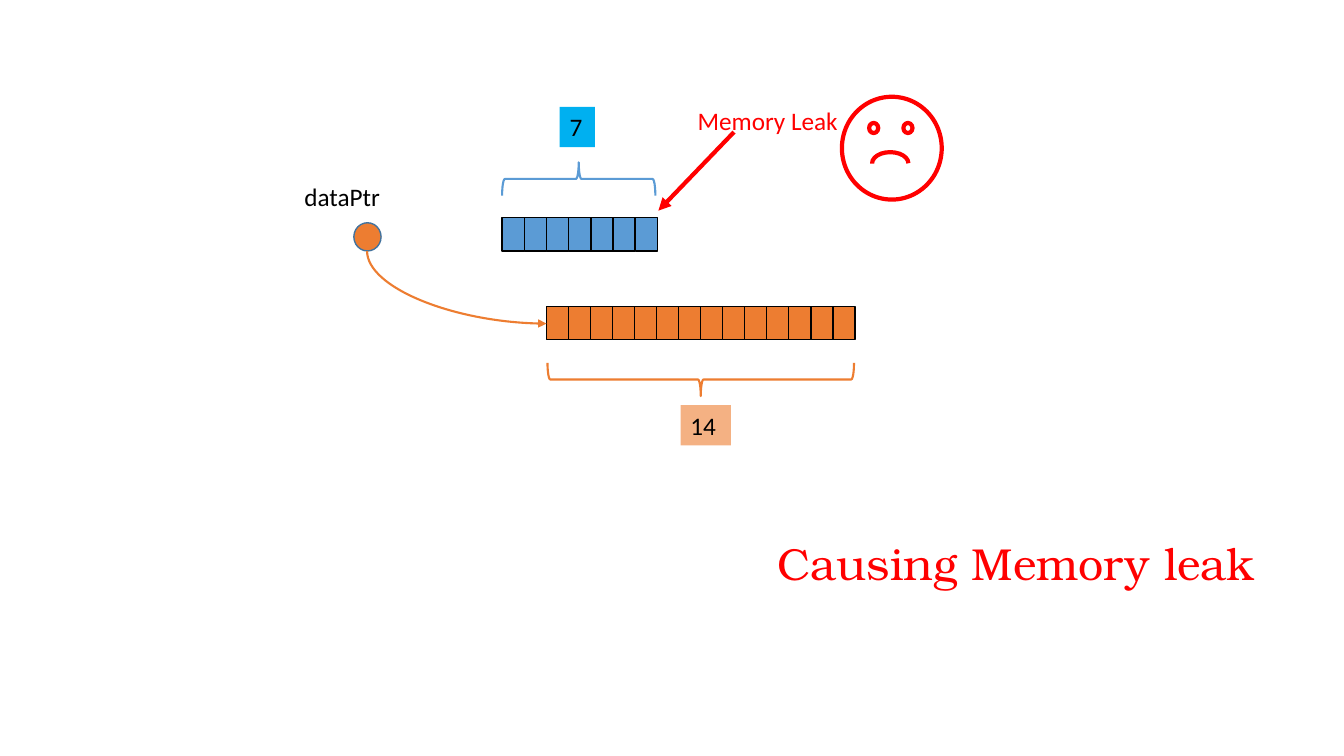
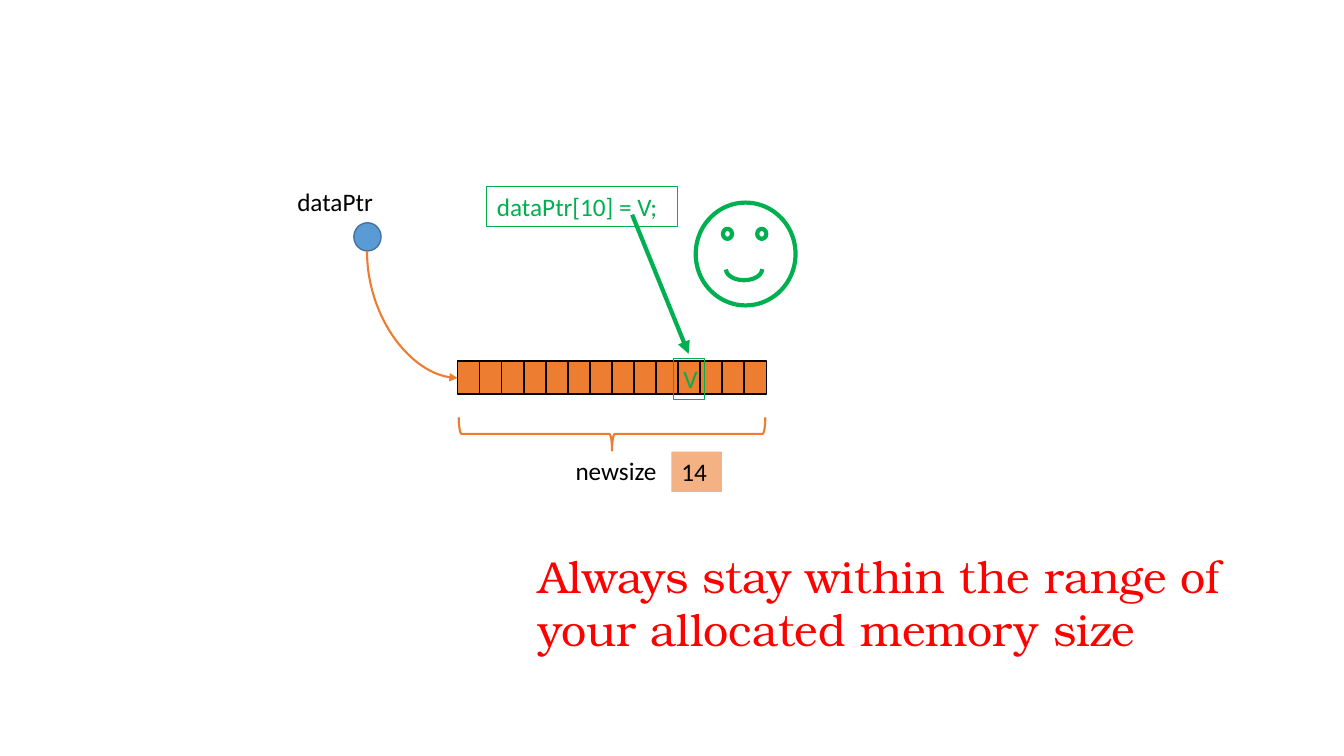
import pptx
import pptx.dml.color
import pptx.enum.shapes
import pptx.enum.text
import pptx.oxml.ns
import pptx.util
from lxml import etree

SHAPE = pptx.enum.shapes.MSO_SHAPE
CONNECTOR = pptx.enum.shapes.MSO_CONNECTOR
AUTO_SIZE = pptx.enum.text.MSO_AUTO_SIZE
qn = pptx.oxml.ns.qn


def px(n):
    return pptx.util.Emu(round(n * 9144))


def rgb(value):
    return pptx.dml.color.RGBColor.from_string(value)


def write(tf, text, size=18, color="000000", font="Calibri", wrap=True, fit=AUTO_SIZE.SHAPE_TO_FIT_TEXT):
    tf.word_wrap = wrap
    tf.auto_size = fit
    tf.vertical_anchor = pptx.enum.text.MSO_ANCHOR.TOP
    p = tf.paragraphs[0]
    p.alignment = pptx.enum.text.PP_ALIGN.LEFT
    r = p.add_run()
    r.text = text
    r.font.size = pptx.util.Pt(size)
    r.font.name = font
    r.font.color.rgb = rgb(color)


class Deck:
    BLUE = "5B9BD5"
    ORANGE = "ED7D31"
    PEACH = "F4B183"
    CYAN = "00B0F0"
    RED = "FF0000"
    GREEN = "00B050"
    WHITE = "FFFFFF"
    BLACK = "000000"
    NODE_EDGE = "43739E"
    TITLE_FONT = "TeX Gyre Bonum"
    CELL_W, CELL_H = 22, 33

    def __init__(self):
        self.prs = pptx.Presentation()
        self.prs.slide_width = px(1333)
        self.prs.slide_height = px(750)

    def slide(self, title, x, y, w, h):
        self.s = self.prs.slides.add_slide(self.prs.slide_layouts[5])
        sp = self.s.shapes.title
        sp.left, sp.top, sp.width, sp.height = px(x), px(y), px(w), px(h)
        write(sp.text_frame, title, size=32, color=self.RED, font=self.TITLE_FONT, fit=AUTO_SIZE.NONE)

    def paint(self, sp, fill, line, width):
        if fill:
            sp.fill.solid()
            sp.fill.fore_color.rgb = rgb(fill)
        else:
            sp.fill.background()
        if line:
            sp.line.color.rgb = rgb(line)
            sp.line.width = pptx.util.Pt(width)
        else:
            sp.line.fill.background()

    def shape(self, kind, x, y, w, h, fill=None, line=None, width=1):
        sp = self.s.shapes.add_shape(kind, px(x), px(y), px(w), px(h))
        sp.shadow.inherit = False
        self.paint(sp, fill, line, width)
        return sp

    def label(self, text, x, y, w, h=40, fill=None, line=None, **fmt):
        sp = self.s.shapes.add_textbox(px(x), px(y), px(w), px(h))
        self.paint(sp, fill, line, 0.75)
        write(sp.text_frame, text, **fmt)

    def node(self, fill):
        self.shape(SHAPE.OVAL, 351, 221, 27, 28, fill, self.NODE_EDGE)

    def cells(self, x, y, count, span, fill):
        pitch = (span - self.CELL_W) / (count - 1)
        for i in range(count):
            self.shape(SHAPE.RECTANGLE, x + i * pitch, y, self.CELL_W, self.CELL_H, fill, self.BLACK)

    def brace(self, x, y, span, color, rotation):
        depth = 33
        shift = (span - depth) / 2
        sp = self.shape(SHAPE.RIGHT_BRACE, x + shift, y - shift, depth, span, line=color, width=1.5)
        sp.rotation = rotation

    def arrow(self, x1, y1, x2, y2, color, width=3, kind=CONNECTOR.STRAIGHT):
        cxn = self.s.shapes.add_connector(kind, px(x1), px(y1), px(x2), px(y2))
        cxn.line.color.rgb = rgb(color)
        cxn.line.width = pptx.util.Pt(width)
        spPr = cxn._element.spPr
        etree.SubElement(spPr.find(qn("a:ln")), qn("a:tailEnd")).set("type", "triangle")
        etree.SubElement(spPr, qn("a:effectLst"))
        return spPr

    def pointer(self, x1, y1, x2, y2):
        cx, cy = (x1 + x2) / 2, (y1 + y2) / 2
        dx, dy = (x2 - x1) / 2, (y2 - y1) / 2
        spPr = self.arrow(cx + dy, cy - dx, cx - dy, cy + dx, self.ORANGE, 1.5, CONNECTOR.CURVE)
        spPr.find(qn("a:xfrm")).set("rot", "16200000")
        spPr.find(qn("a:prstGeom")).set("prst", "curvedConnector2")

    def face(self, x, y, color, happy):
        self.shape(SHAPE.OVAL, x, y, 99, 102, self.WHITE, color, 3)
        for eye in (27, 61):
            self.shape(SHAPE.OVAL, x + eye, y + 26, 9, 10, self.WHITE, color, 3)
        mouth = self.shape(SHAPE.ARC, x + 30, y + 55, 36, 22, line=color, width=3)
        start, end = (0, 107.21) if happy else (107.21, 0)
        mouth.adjustments[0] = start
        mouth.adjustments[1] = end


def leak_slide(d):
    d.slide("Causing Memory leak", 761, 526, 523, 64)
    d.node(d.ORANGE)
    d.label("dataPtr", 292, 175, 102)
    d.cells(498, 216, 7, 154, d.BLUE)
    d.cells(542, 304, 14, 306, d.ORANGE)
    d.pointer(364, 249, 542, 321)
    d.brace(498, 161, 152, d.BLUE, 270)
    d.brace(543, 360, 304, d.ORANGE, 90)
    d.label("7", 555, 106, 35, fill=d.CYAN)
    d.label("14", 675, 402, 50, fill=d.PEACH)
    d.arrow(728, 131, 653, 209, d.RED)
    d.label("Memory Leak", 682, 100, 161, color=d.RED, wrap=False)
    d.face(835, 96, d.RED, happy=False)


def range_slide(d):
    d.slide("Always stay within the range of your allocated memory size", 524, 539, 756, 118)
    d.node(d.BLUE)
    d.cells(454, 358, 14, 306, d.ORANGE)
    d.pointer(364, 249, 454, 375)
    d.brace(455, 414, 304, d.ORANGE, 90)
    d.label("newsize", 561, 447, 132)
    d.label("14", 666, 448, 50, fill=d.PEACH)
    d.label("dataPtr", 285, 180, 122)
    d.label("V", 668, 356, 31, line=d.GREEN, color=d.GREEN)
    d.label("dataPtr[10] = V;", 483, 185, 189, line=d.GREEN, color=d.GREEN)
    d.arrow(627, 213, 683, 351, d.GREEN)
    d.face(690, 201, d.GREEN, happy=True)


def main():
    d = Deck()
    leak_slide(d)
    range_slide(d)
    d.prs.save("out.pptx")


if __name__ == "__main__":
    main()
